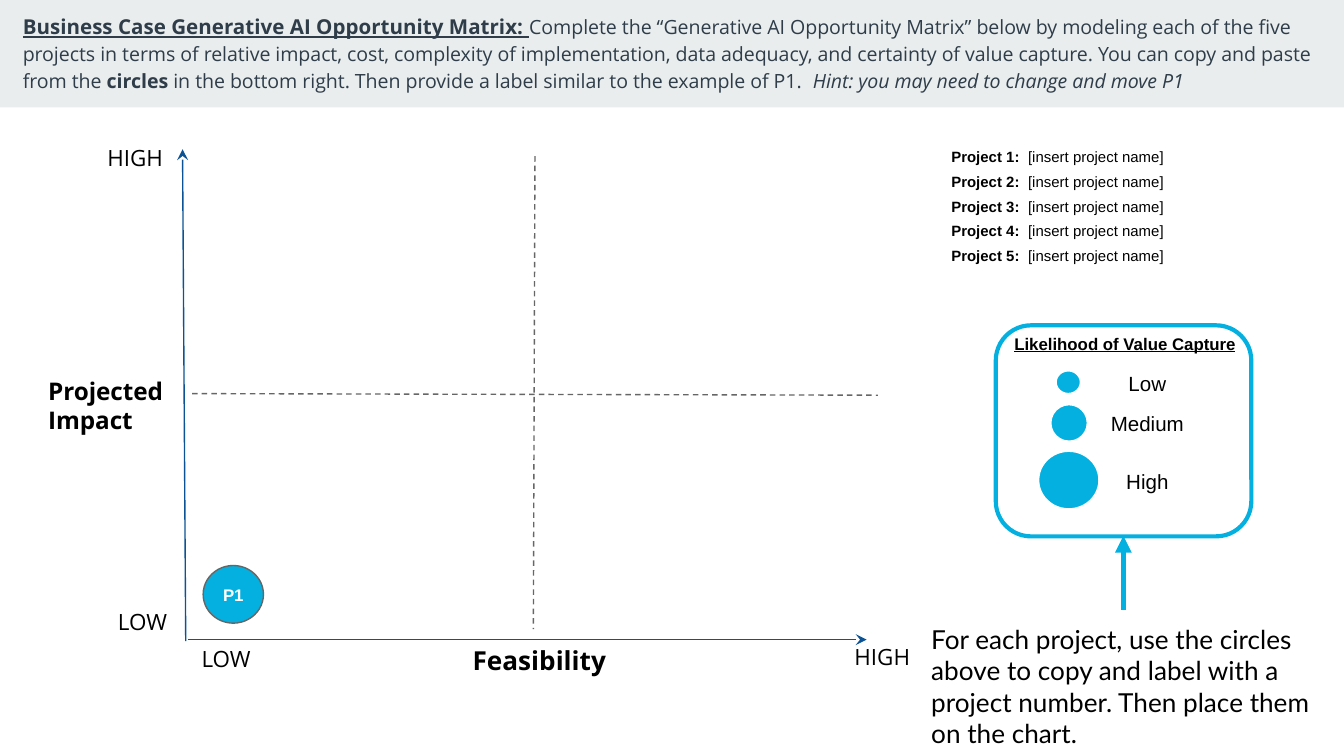
"""Build the business case opportunity matrix slide."""
from lxml.etree import SubElement
from pptx import Presentation
from pptx.dml.color import RGBColor
from pptx.enum.dml import MSO_LINE_DASH_STYLE as Dash
from pptx.enum.shapes import MSO_CONNECTOR as Connector, MSO_SHAPE as Shape
from pptx.enum.text import MSO_ANCHOR as Anchor, MSO_AUTO_SIZE as AutoSize, PP_ALIGN as Align
from pptx.oxml.ns import qn
from pptx.util import Cm, Pt

COLORS = {
    "band": "E9EDEE", "heading": "2E3D49", "black": "000000", "white": "FFFFFF",
    "cyan": "03B0E0", "axis": "0B5394", "grey": "666666",
}
INSET = 0.25


def color(name):
    return RGBColor.from_string(COLORS[name])


def add_span(para, text, font="Open Sans", size=12, ink="black", bold=False,
             italic=False, underline=False):
    span = para.add_run()
    span.text = text
    style = span.font
    style.name, style.size = font, Pt(size)
    style.bold, style.italic, style.underline = bold, italic, underline
    style.color.rgb = color(ink)


def set_frame(frame, inset=INSET, anchor=Anchor.TOP):
    frame.word_wrap = True
    frame.auto_size = AutoSize.NONE
    frame.vertical_anchor = anchor
    frame.margin_left = frame.margin_right = Cm(inset)
    frame.margin_top = frame.margin_bottom = Cm(inset)


def add_label(slide, place, text, align=Align.LEFT, **style):
    box = slide.shapes.add_textbox(*map(Cm, place))
    set_frame(box.text_frame)
    para = box.text_frame.paragraphs[0]
    para.alignment = align
    add_span(para, text, **style)


def add_figure(slide, kind, place, fill=None, line=None, width=0.75):
    figure = slide.shapes.add_shape(kind, *map(Cm, place))
    figure.shadow.inherit = False
    if fill:
        figure.fill.solid()
        figure.fill.fore_color.rgb = color(fill)
    else:
        figure.fill.background()
    if line:
        figure.line.color.rgb = color(line)
        figure.line.width = Pt(width)
    else:
        figure.line.fill.background()
    return figure


def add_line(slide, start, end, ink, width=0.75, dash=None, arrow=None):
    line = slide.shapes.add_connector(Connector.STRAIGHT, *map(Cm, start + end))
    line.line.color.rgb = color(ink)
    line.line.width = Pt(width)
    if dash:
        line.line.dash_style = dash
    properties = line.element.spPr
    if arrow:
        SubElement(properties.find(qn("a:ln")), qn("a:tailEnd"), type=arrow)
    SubElement(properties, qn("a:effectLst"))


def add_heading(slide):
    band = add_figure(slide, Shape.RECTANGLE, (0, 0, 25.4, 2.03), fill="band")
    title = slide.shapes.title
    title.element.addprevious(band.element)
    title.left, title.top, title.width, title.height = map(Cm, (0.18, -0.05, 24.99, 0.94))
    set_frame(title.text_frame)
    para = title.text_frame.paragraphs[0]
    para.alignment, para.line_spacing, para.space_before = Align.LEFT, 1.15, Pt(0)
    spans = [
        ("Business Case Generative AI Opportunity Matrix: ",
         {"size": 11, "bold": True, "underline": True}),
        ("Complete the “Generative AI Opportunity Matrix” below by modeling each of the five "
         "projects in terms of relative impact, cost, complexity of implementation, data "
         "adequacy, and certainty of value capture. You can copy and paste from the ", {}),
        ("circles", {"bold": True}),
        (" in the bottom right. Then provide a label similar to the example of P1.  ", {}),
        ("Hint: you may need to change and move P1", {"italic": True}),
    ]
    for text, style in spans:
        add_span(para, text, **{"size": 10.5, "ink": "heading", **style})


def add_matrix(slide):
    add_line(slide, (10.11, 2.95), (10.08, 11.89), "grey", dash=Dash.DASH)
    add_line(slide, (3.63, 7.44), (16.59, 7.47), "grey", dash=Dash.DASH)
    add_line(slide, (3.51, 12.12), (3.45, 2.82), "axis", arrow="stealth")
    add_line(slide, (3.56, 12.09), (16.38, 12.09), "axis", arrow="stealth")
    add_label(slide, (0.66, 6.86, 3, 1.14), "Projected Impact", size=13, bold=True)
    add_label(slide, (5.79, 11.94, 8.81, 1.14), "Feasibility", Align.CENTER, size=14, bold=True)
    for left, top in ((1.78, 2.51), (15.9, 11.94)):
        add_label(slide, (left, top, 2.08, 0.43), "HIGH")
    for left, top in ((3.56, 11.94), (1.98, 11.25)):
        add_label(slide, (left, top, 1.7, 0.61), "LOW")
    project = add_figure(slide, Shape.OVAL, (3.84, 10.69, 1.14, 1.09), "cyan", "grey")
    set_frame(project.text_frame, 0, Anchor.MIDDLE)
    para = project.text_frame.paragraphs[0]
    para.alignment = Align.CENTER
    add_span(para, "P1", font="Arial", size=9, ink="white", bold=True)


def add_projects(slide):
    count, row_height, widths = 5, 0.46, (1.7, 6.05)
    table = slide.shapes.add_table(count, 2, Cm(17.65), Cm(2.72), Cm(sum(widths)),
                                   Cm(count * row_height)).table
    table.first_row = table.horz_banding = False
    for column, width in zip(table.columns, widths):
        column.width = Cm(width)
    for number, row in enumerate(table.rows, 1):
        row.height = Cm(row_height)
        texts = (f"Project {number}:", "[insert project name]")
        for cell, text, align in zip(row.cells, texts, (Align.RIGHT, Align.LEFT)):
            cell.fill.background()
            cell.vertical_anchor = Anchor.BOTTOM
            cell.margin_left = cell.margin_right = Cm(0.08)
            cell.margin_top = cell.margin_bottom = Cm(0.05)
            para = cell.text_frame.paragraphs[0]
            para.alignment, para.line_spacing = align, 1.15
            add_span(para, text, font="Arial", size=8, bold=align == Align.RIGHT)


def add_legend(slide):
    frame = add_figure(slide, Shape.ROUNDED_RECTANGLE, (18.82, 6.15, 4.83, 3.99),
                       line="cyan", width=2.25)
    frame.adjustments[0] = 0.167
    add_label(slide, (18.92, 6.05, 4.72, 0.94), "Likelihood of Value Capture",
              font="Arial", size=9, bold=True, underline=True)
    levels = [
        ("Low", 6.76, (19.96, 7.01, 0.46, 0.43)),
        ("Medium", 7.52, (19.86, 7.65, 0.69, 0.69)),
        ("High", 8.61, (19.63, 8.53, 1.14, 1.09)),
    ]
    for name, top, circle in levels:
        add_figure(slide, Shape.OVAL, circle, "cyan", "white")
        add_label(slide, (20.68, top, 2.01, 0.94), name, Align.CENTER, font="Arial", size=11)
    add_label(slide, (17.35, 11.53, 7.75, 1.55),
              "For each project, use the circles above to copy and label with a project "
              "number. Then place them on the chart.", font="Lato", size=14)
    add_line(slide, (21.23, 11.53), (21.23, 10.13), "cyan", width=3, arrow="triangle")


def main():
    deck = Presentation()
    deck.slide_width, deck.slide_height = Cm(25.4), Cm(14.29)
    page = deck.slides.add_slide(deck.slide_layouts[5])
    add_heading(page)
    add_matrix(page)
    add_projects(page)
    add_legend(page)
    deck.save("out.pptx")


if __name__ == "__main__":
    main()
